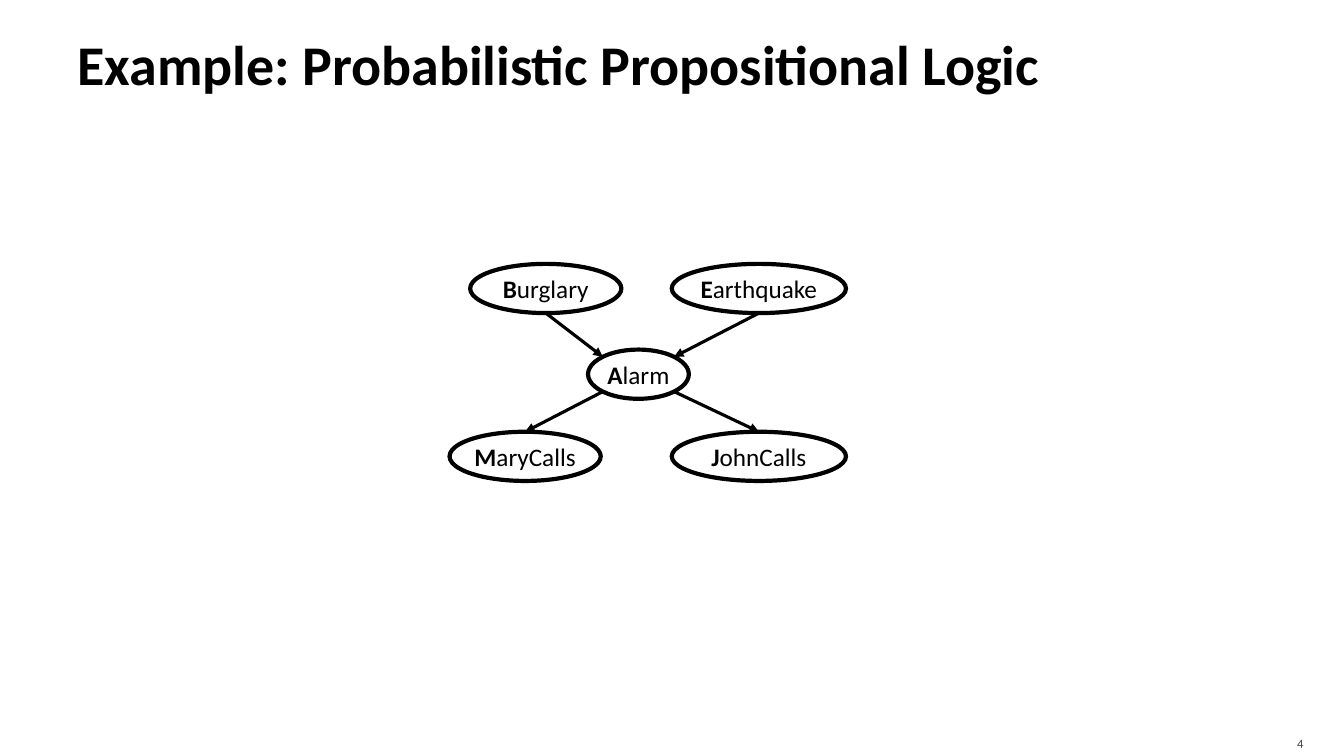
from math import sqrt

from lxml import etree
from pptx import Presentation
from pptx import util as u
from pptx.dml.color import RGBColor
from pptx.enum import shapes, text
from pptx.oxml.ns import qn

COLORS = {"ink": "000000", "number": "454545"}
FONT = "Calibri"


def write(sp, runs, size, color="ink", align=text.PP_ALIGN.LEFT,
          insets=(0, 0, 0, 0)):
    """Fill a shape with one paragraph of (wording, bold) runs."""
    tf = sp.text_frame
    tf.word_wrap = True
    tf.vertical_anchor = text.MSO_ANCHOR.MIDDLE
    (tf.margin_left, tf.margin_top,
     tf.margin_right, tf.margin_bottom) = (u.Cm(v) for v in insets)
    p = tf.paragraphs[0]
    p.alignment = align
    for wording, bold in runs:
        r = p.add_run()
        r.text = wording
        r.font.name, r.font.size, r.font.bold = FONT, u.Pt(size), bold
        r.font.color.rgb = RGBColor.from_string(COLORS[color])


class Network:
    """Draws text, nodes and arrows on one slide."""
    node_height = 1.24
    node_line = 3
    arrow_line = 2.25

    def __init__(self, slide):
        self.shapes = slide.shapes

    def stroke(self, sp, width):
        sp.line.width = u.Pt(width)
        sp.line.color.rgb = RGBColor.from_string(COLORS["ink"])

    def label(self, box, runs, size, **style):
        sp = self.shapes.add_textbox(*(u.Cm(v) for v in box))
        write(sp, runs, size, **style)

    def node(self, name, x, y, w):
        sp = self.shapes.add_shape(shapes.MSO_SHAPE.OVAL, u.Cm(x), u.Cm(y),
                                   u.Cm(w), u.Cm(self.node_height))
        sp.shadow.inherit = False
        sp.fill.background()
        self.stroke(sp, self.node_line)
        write(sp, [(name[0], True), (name[1:], False)], 18,
              align=text.PP_ALIGN.CENTER)
        return sp

    def rim(self, sp, dx, dy):
        """Point where direction (dx, dy) from the centre meets the oval."""
        n = sqrt(dx * dx + dy * dy)
        return (int(sp.left + sp.width / 2 * (1 + dx / n)),
                int(sp.top + sp.height / 2 * (1 + dy / n)))

    def arrow(self, start, end):
        cx = self.shapes.add_connector(shapes.MSO_CONNECTOR.STRAIGHT, *start, *end)
        self.stroke(cx, self.arrow_line)
        etree.SubElement(cx.line._get_or_add_ln(), qn("a:tailEnd"), type="triangle")
        etree.SubElement(cx._element.spPr, qn("a:effectLst"))


def main():
    prs = Presentation()
    prs.slide_width, prs.slide_height = u.Cm(33.87), u.Cm(19.05)
    s = prs.slides.add_slide(prs.slide_layouts[6])
    net = Network(s)

    # Title and slide number
    net.label((1.7, 0.22, 30.48, 2.74),
              [("Example: Probabilistic Propositional Logic", True)], 40,
              insets=(0.25, 0.13, 0.13, 0.13))
    net.label((30.38, 18.29, 2.72, 0.75), [("4", False)], 9, color="number",
              align=text.PP_ALIGN.RIGHT, insets=(0.25, 0.13, 0.25, 0))

    # Nodes: causes, alarm, calls
    burglary = net.node("Burglary", 11.85, 6.65, 3.81)
    earthquake = net.node("Earthquake", 16.93, 6.65, 4.39)
    alarm = net.node("Alarm", 14.82, 8.81, 2.54)
    mary = net.node("MaryCalls", 11.33, 10.88, 3.81)
    john = net.node("JohnCalls", 16.93, 10.88, 4.39)

    # Arrows into and out of the alarm
    for cause, side in ((burglary, -1), (earthquake, 1)):
        net.arrow(net.rim(cause, 0, 1), net.rim(alarm, side, -1))
    for call, side in ((mary, -1), (john, 1)):
        net.arrow(net.rim(alarm, side, 1), net.rim(call, 0, -1))

    prs.save("out.pptx")


if __name__ == "__main__":
    main()
